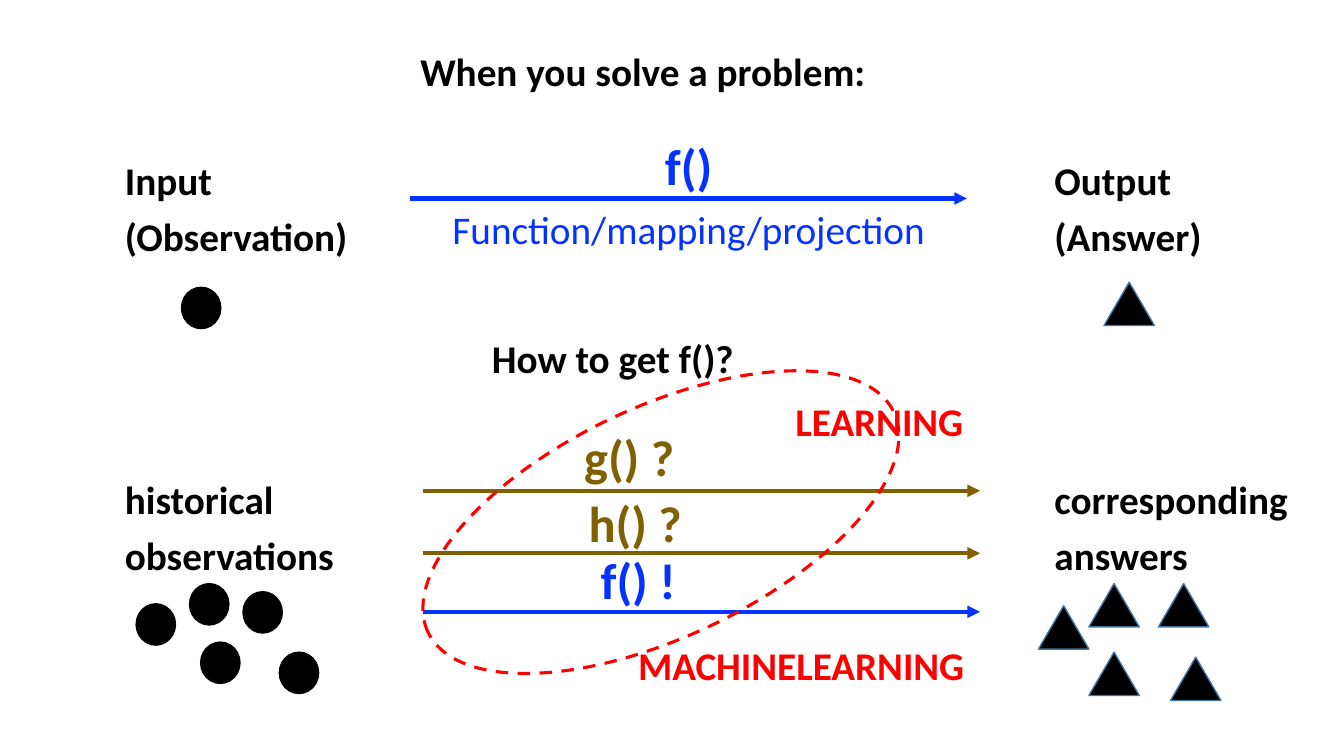
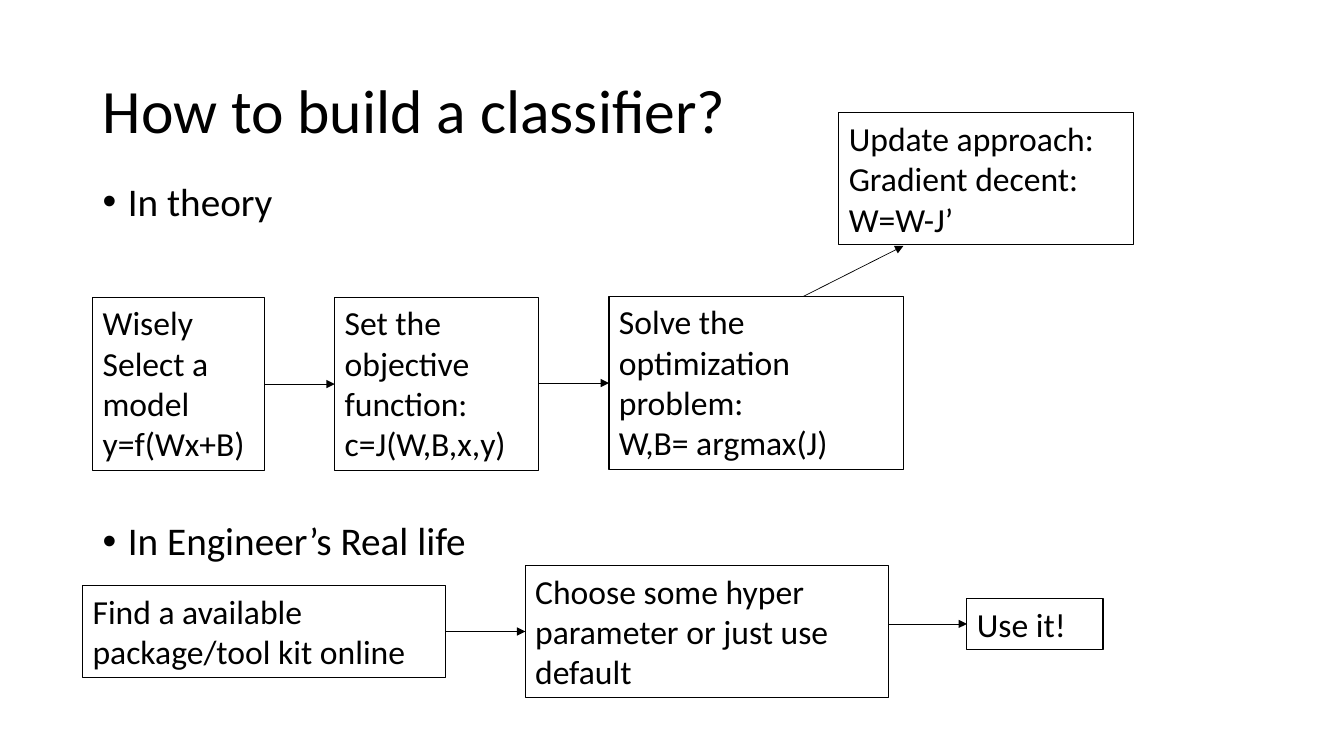
from lxml import etree
from pptx import Presentation
from pptx.dml.color import RGBColor
from pptx.enum.dml import MSO_LINE
from pptx.enum.shapes import MSO_CONNECTOR, MSO_SHAPE
from pptx.enum.text import MSO_ANCHOR, MSO_AUTO_SIZE, PP_ALIGN
from pptx.oxml.ns import qn
from pptx.util import Inches, Pt

STRAIGHT = MSO_CONNECTOR.STRAIGHT
CIRCLE, TRIANGLE, RECTANGLE = MSO_SHAPE.OVAL, MSO_SHAPE.ISOSCELES_TRIANGLE, MSO_SHAPE.RECTANGLE
DASH = MSO_LINE.DASH
LEFT, CENTER = PP_ALIGN.LEFT, PP_ALIGN.CENTER
TOP, MIDDLE = MSO_ANCHOR.TOP, MSO_ANCHOR.MIDDLE
FIT_SHAPE = MSO_AUTO_SIZE.SHAPE_TO_FIT_TEXT

BLACK = RGBColor(0x00, 0x00, 0x00)
BLUE = RGBColor(0x04, 0x32, 0xFF)
OLIVE = RGBColor(0x80, 0x60, 0x00)
RED = RGBColor(0xFF, 0x00, 0x00)
STEEL = RGBColor(0x43, 0x73, 0x9E)

FONT = "Calibri"
TITLE_SIZE, FORMULA_SIZE, BODY_SIZE, BOX_SIZE = 44, 36, 28, 24

# Slide 1: (place, lines, colour)
LABELS = [
    ((1.14, 1.55, 2.55, 1.85), ["Input", "(Observation)"], BLACK),
    ((10.36, 1.55, 2.67, 1.47), ["Output", "(Answer)"], BLACK),
    ((4.07, 0.47, 6.29, 0.76), ["When you solve a problem: "], BLACK),
    ((4.78, 3.32, 3.16, 0.75), ["How to get f()? "], BLACK),
    ((1.14, 4.72, 2.55, 1.85), ["historical", "observations"], BLACK),
    ((10.36, 4.72, 2.55, 1.85), ["corresponding", "answers"], BLACK),
    ((7.79, 3.95, 2.17, 0.54), ["LEARNING"], RED),
    ((6.23, 6.37, 3.64, 0.94), ["MACHINELEARNING"], RED),
]
MAPPING_PLACE = (4.2, 1.36, 5.26, 1.66)
MAPPING_NAME, MAPPING_NOTE = "f()", "Function/mapping/projection"
# (text, left, top, arrow height, colour)
CANDIDATES = [
    ("g() ?", 5.64, 4.25, 4.87, OLIVE),
    ("h() ?", 5.7, 4.9, 5.49, OLIVE),
    ("f() !", 5.73, 5.47, 6.07, BLUE),
]
CANDIDATE_SIZE = (1.2, 0.74)
MAPPING_START, CANDIDATE_START, ARROW_LENGTH = (4.07, 1.97), 4.2, 5.52
OBSERVATIONS = [(1.8, 2.85), (1.35, 5.99), (1.88, 5.79), (2.41, 5.87), (1.99, 6.37), (2.77, 6.47)]
ANSWERS = [(10.95, 2.8), (10.3, 6.01), (10.8, 5.79), (11.49, 5.79), (10.8, 6.47), (11.61, 6.52)]
OBSERVATION_SIZE, ANSWER_SIZE = (0.39, 0.41), (0.5, 0.43)
LEARNING_LOOP, LOOP_ANGLE = (4, 4.04, 5.11, 2.28), 334.7

# Slide 2
TITLE = ("How to build a classifier?", (0.92, 0.4, 11.5, 1.45))
BULLETS = [("In theory", 1.76), ("In Engineer’s Real life", 5.13)]
BULLET_LEFT, BULLET_SIZE = 0.92, (11.5, 0.8)
THEORY_STEPS = [
    ((0.92, 2.95, 1.7, 1.72), ["Wisely Select a model y=f(Wx+B)"]),
    ((3.32, 2.95, 2.02, 1.72), ["Set the objective function:", "c=J(W,B,x,y)"]),
    ((6.04, 2.94, 2.92, 1.72), ["Solve the optimization problem:", "W,B= argmax(J)"]),
]
PRACTICE_STEPS = [
    ((0.82, 5.81, 3.6, 0.91), ["Find a available package/tool kit online"]),
    ((5.21, 5.61, 3.6, 1.31), ["Choose some hyper parameter or just use default"]),
    ((9.59, 5.94, 1.35, 0.5), ["Use it!"]),
]
UPDATE_STEP = ((8.32, 1.12, 2.92, 1.31), ["Update approach:", "Gradient decent:", "W=W-J’"])
UPDATE_ARROW = ((7.97, 2.94), (8.96, 2.44))


def inches(values):
    """Convert a sequence of numbers to lengths."""
    return [Inches(value) for value in values]


def write_line(frame, index, text, size, color, bold=False, align=LEFT, spacing=0.9, before=10):
    """Write one paragraph of a text frame and return it."""
    paragraph = frame.paragraphs[0] if index == 0 else frame.add_paragraph()
    paragraph.alignment = align
    paragraph.line_spacing = spacing
    paragraph.space_before = Pt(before)
    run = paragraph.add_run()
    run.text = text
    run.font.name, run.font.size, run.font.bold = FONT, Pt(size), bold
    run.font.color.rgb = color
    return paragraph


def add_frame(slide, place, anchor=TOP):
    """Add a wrapping text box and return its text frame."""
    frame = slide.shapes.add_textbox(*inches(place)).text_frame
    frame.word_wrap = True
    frame.vertical_anchor = anchor
    return frame


def add_figure(slide, kind, place, line_color, line_width, fill=None):
    """Add a preset shape with an outline and an optional fill."""
    figure = slide.shapes.add_shape(kind, *inches(place))
    figure.shadow.inherit = False
    if fill is None:
        figure.fill.background()
    else:
        figure.fill.solid()
        figure.fill.fore_color.rgb = fill
    figure.line.color.rgb = line_color
    figure.line.width = Pt(line_width)
    return figure


def add_arrow(slide, start, end, color, width):
    """Add a straight arrow pointing at its end."""
    arrow = slide.shapes.add_connector(STRAIGHT, *inches(start + end))
    arrow.line.color.rgb = color
    arrow.line.width = Pt(width)
    etree.SubElement(arrow.line._get_or_add_ln(), qn("a:tailEnd"), type="triangle")
    etree.SubElement(arrow._element.spPr, qn("a:effectLst"))


def add_bullet(slide, text, top):
    """Add one bulleted heading."""
    frame = add_frame(slide, (BULLET_LEFT, top) + BULLET_SIZE)
    properties = write_line(frame, 0, text, BODY_SIZE, BLACK)._p.get_or_add_pPr()
    properties.set("marL", str(Inches(0.25)))
    properties.set("indent", str(Inches(-0.25)))
    etree.SubElement(properties, qn("a:buFont"), typeface="Arial")
    etree.SubElement(properties, qn("a:buChar"), char="•")


def add_step(slide, place, lines):
    """Add an outlined box holding one step."""
    frame = add_figure(slide, RECTANGLE, place, BLACK, 0.75).text_frame
    frame.word_wrap = True
    frame.auto_size = FIT_SHAPE
    frame.vertical_anchor = TOP
    for index, text in enumerate(lines):
        write_line(frame, index, text, BOX_SIZE, BLACK, spacing=1.0, before=0)


def add_flow(slide, steps):
    """Add a row of steps, each joined to the next at the next one's middle."""
    for place, lines in steps:
        add_step(slide, place, lines)
    for (source, _), (target, _) in zip(steps, steps[1:]):
        middle = target[1] + target[3] / 2
        add_arrow(slide, (source[0] + source[2], middle), (target[0], middle), BLACK, 0.5)


def build_learning(slide):
    """Show solving a problem and learning the function."""
    for place, lines, color in LABELS:
        frame = add_frame(slide, place)
        for index, text in enumerate(lines):
            write_line(frame, index, text, BODY_SIZE, color, bold=True)

    mapping = add_frame(slide, MAPPING_PLACE)
    write_line(mapping, 0, MAPPING_NAME, FORMULA_SIZE, BLUE, bold=True, align=CENTER)
    write_line(mapping, 1, MAPPING_NOTE, BODY_SIZE, BLUE, align=CENTER)
    left, height = MAPPING_START
    add_arrow(slide, MAPPING_START, (left + ARROW_LENGTH, height), BLUE, 3)

    for text, left, top, height, color in CANDIDATES:
        end = (CANDIDATE_START + ARROW_LENGTH, height)
        add_arrow(slide, (CANDIDATE_START, height), end, color, 3)
        frame = add_frame(slide, (left, top) + CANDIDATE_SIZE)
        write_line(frame, 0, text, FORMULA_SIZE, color, bold=True, align=CENTER)

    for corner in OBSERVATIONS:
        add_figure(slide, CIRCLE, corner + OBSERVATION_SIZE, BLACK, 1, BLACK)
    for corner in ANSWERS:
        add_figure(slide, TRIANGLE, corner + ANSWER_SIZE, STEEL, 1, BLACK)

    loop = add_figure(slide, CIRCLE, LEARNING_LOOP, RED, 2.25)
    loop.line.dash_style = DASH
    loop.rotation = LOOP_ANGLE


def build_classifier(slide):
    """Show the steps of building a classifier in theory and in practice."""
    title, place = TITLE
    write_line(add_frame(slide, place, MIDDLE), 0, title, TITLE_SIZE, BLACK, before=0)
    for text, top in BULLETS:
        add_bullet(slide, text, top)
    add_flow(slide, THEORY_STEPS)
    add_step(slide, *UPDATE_STEP)
    add_arrow(slide, *UPDATE_ARROW, BLACK, 0.5)
    add_flow(slide, PRACTICE_STEPS)


deck = Presentation()
deck.slide_width, deck.slide_height = inches((13.33, 7.5))
blank = deck.slide_layouts[6]
for build in (build_learning, build_classifier):
    build(deck.slides.add_slide(blank))
deck.save("out.pptx")
